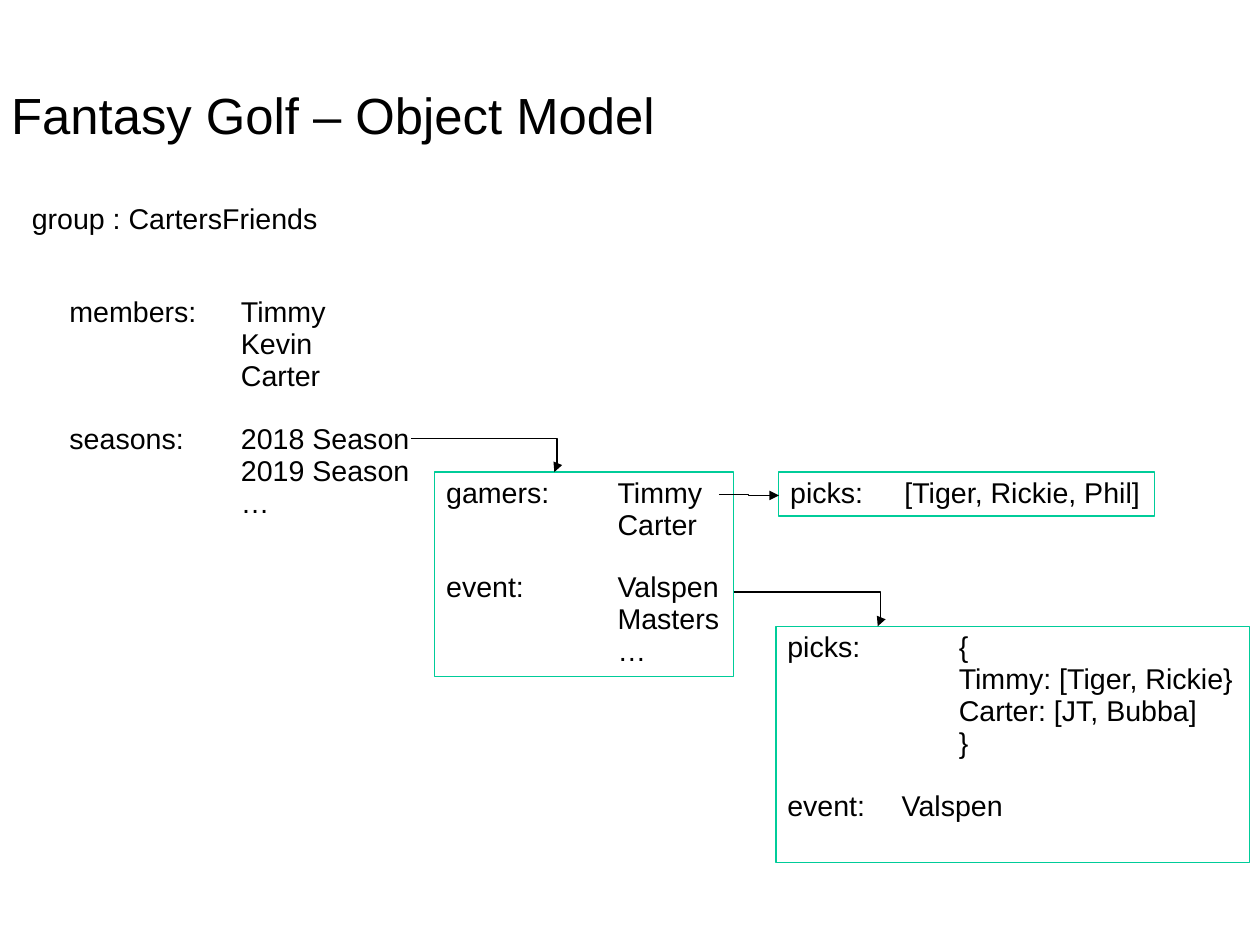
from lxml.etree import SubElement as Sub
from pptx import Presentation
from pptx.dml.color import RGBColor as Color
from pptx.enum.shapes import MSO_CONNECTOR as Link, MSO_SHAPE as Shape
from pptx.enum.text import MSO_ANCHOR as Anchor, PP_ALIGN as Align
from pptx.oxml.ns import qn
from pptx.util import Cm, Inches, Pt

THEME = {
    "ink": Color.from_string("000000"),
    "border": Color.from_string("00CC99"),
    "font": "Arial",
    "title": Pt(32),
    "body": Pt(18),
    "gap": Pt(19.5),
    "line": Pt(0.75),
    "leading": 0.93,
}
COLUMNS, ROWS = 110.24, 82.68

deck = Presentation()
deck.slide_width, deck.slide_height = Cm(28), Cm(21)
column, row = deck.slide_width / COLUMNS, deck.slide_height / ROWS
slide = deck.slides.add_slide(deck.slide_layouts[6])


def place(left, top, width, height):
    return [round(n) for n in (left * column, top * row, width * column, height * row)]


def write(frame, groups, size, frame_format):
    for name, value in frame_format.items():
        setattr(frame, name, value)
    first = True
    for tab, lines in groups:
        for index, line in enumerate(lines):
            para = frame.paragraphs[0] if first else frame.add_paragraph()
            if tab:
                stops = Sub(para._p.get_or_add_pPr(), qn("a:tabLst"))
                Sub(stops, qn("a:tab"), pos=str(round(tab * column)), algn="l")
            para.alignment = Align.LEFT
            para.line_spacing = THEME["leading"]
            if index == 0 and not first:
                para.space_before = THEME["gap"]
            first = False
            span = para.add_run()
            span.text = line
            span.font.color.rgb = THEME["ink"]
            for name, value in {"size": size, "name": THEME["font"]}.items():
                setattr(span.font, name, value)


title_format = {
    "word_wrap": True,
    "vertical_anchor": Anchor.MIDDLE,
    "margin_left": Inches(0.1),
    "margin_top": Inches(0.03),
    "margin_right": 0,
    "margin_bottom": 0,
}
body_format = {"word_wrap": True, "vertical_anchor": Anchor.TOP}

title = slide.shapes.add_textbox(*place(0, 3.3, COLUMNS, 13.6))
write(title.text_frame, [(0, ["Fantasy Golf – Object Model"])], THEME["title"], title_format)

labels = [
    ((1.8, 17.35, 27.3, 3.8), [(0, ["group : CartersFriends"])]),
    ((5.1, 25.5, 32, 20.7), [
        (15, ["members:\tTimmy", "\tKevin", "\tCarter"]),
        (15, ["seasons:\t2018 Season", "\t2019 Season", "\t…"]),
    ]),
]
objects = [
    ((38.05, 41.3, 26.1, 17.9), [
        (15, ["gamers:\tTimmy", "\tCarter"]),
        (15, ["event:\tValspen", "\tMasters", "\t…"]),
    ]),
    ((67.9, 54.8, 41.4, 20.7), [
        (15, ["picks:\t{", "\tTimmy: [Tiger, Rickie}", "\tCarter: [JT, Bubba]", "\t}"]),
        (10, ["event:\tValspen"]),
    ]),
    ((68.15, 41.3, 32.9, 3.85), [(10, ["picks:\t[Tiger, Rickie, Phil]"])]),
]

for area, groups in labels:
    box = slide.shapes.add_textbox(*place(*area))
    write(box.text_frame, groups, THEME["body"], body_format)

for area, groups in objects:
    box = slide.shapes.add_shape(Shape.RECTANGLE, *place(*area))
    box.shadow.inherit = False
    box.fill.background()
    box.line.color.rgb = THEME["border"]
    box.line.width = THEME["line"]
    write(box.text_frame, groups, THEME["body"], body_format)

arrows = [
    ((64.2, 51.8, 76.8, 54.8), 101900),
    ((62.9, 43.25, 68.15, 43.35), 50000),
    ((35.95, 38.35, 48.5, 41.3), 101900),
]
for ends, bend in arrows:
    arrow = slide.shapes.add_connector(Link.ELBOW, *place(*ends))
    arrow.line.color.rgb = THEME["ink"]
    arrow.line.width = THEME["line"]
    properties = arrow._element.spPr
    Sub(properties.find(qn("a:ln")), qn("a:tailEnd"), type="triangle")
    Sub(properties, qn("a:effectLst"))
    guides = properties.find(qn("a:prstGeom")).find(qn("a:avLst"))
    Sub(guides, qn("a:gd"), name="adj1", fmla=f"val {bend}")

deck.save("out.pptx")
